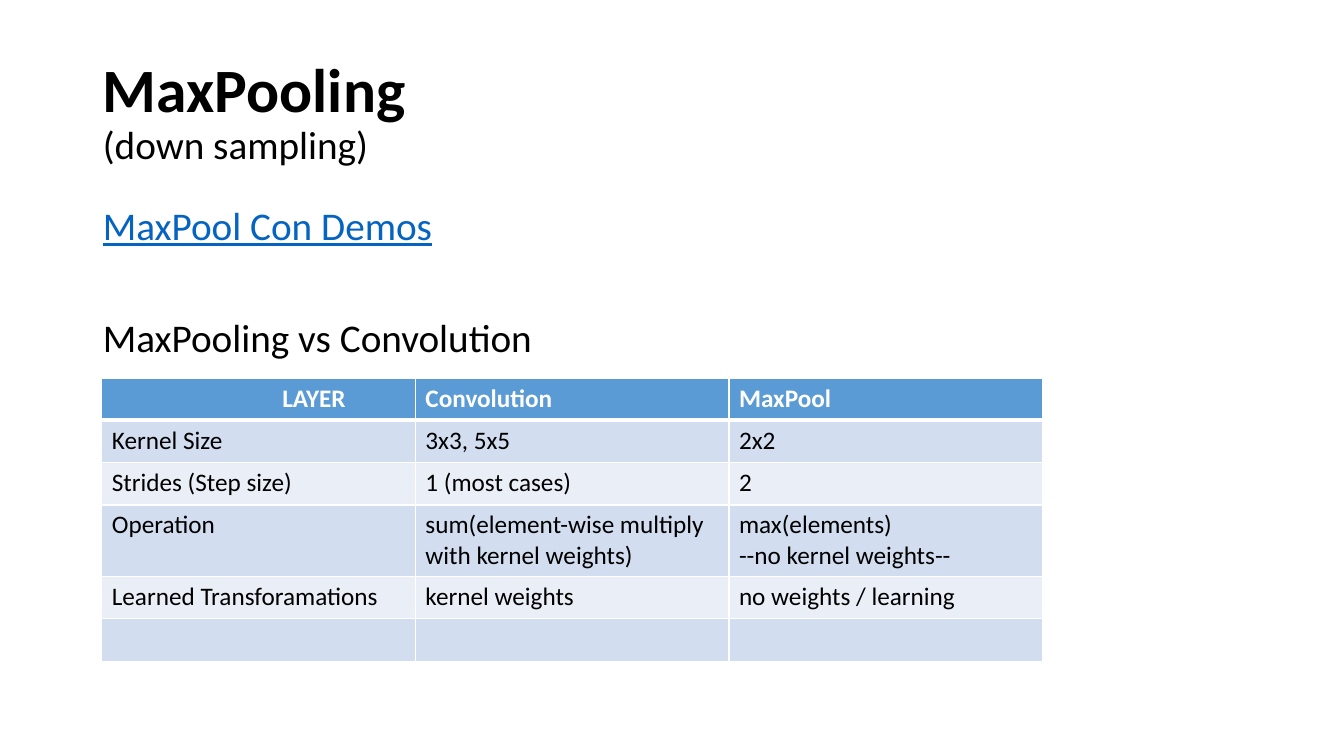
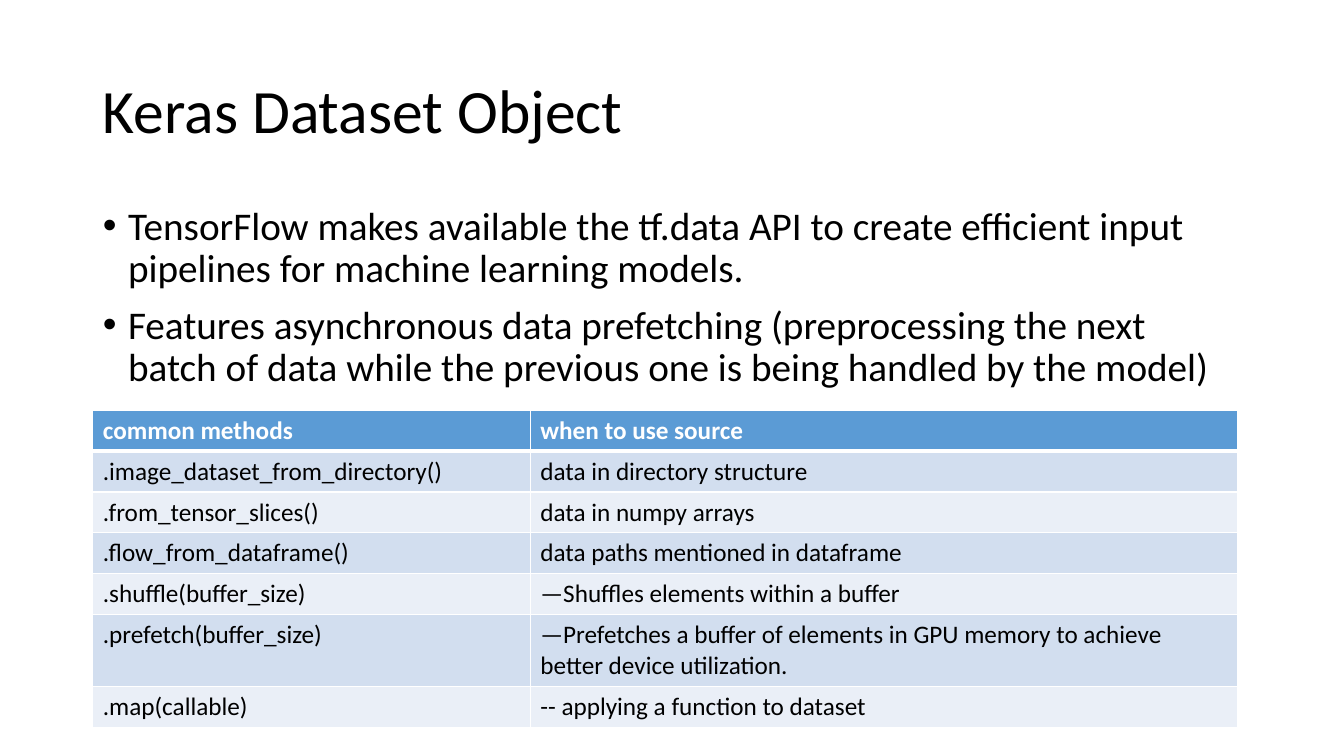
"""Build two slides on max pooling and the Keras dataset object."""
from lxml.etree import SubElement
from pptx import Presentation
from pptx.dml.color import RGBColor
from pptx.enum.text import MSO_ANCHOR, MSO_AUTO_SIZE, PP_ALIGN
from pptx.oxml.ns import qn
from pptx.util import Inches, Pt

FONT = "Calibri"
BLACK, WHITE, LINK = "000000", "FFFFFF", "0563C1"
HEADER, BANDS = "5B9BD5", ("EAEFF7", "D2DEEF")
LEFT, WIDTH = Inches(0.92), Inches(11.5)
TITLE_TOP, TITLE_HEIGHT = Inches(0.4), Inches(1.45)
BODY_TOP, BODY_HEIGHT = Inches(2), Inches(4.76)


def write(p, text, size=28, color=BLACK, bold=False, underline=False):
    r = p.add_run()
    r.text = text
    r.font.name, r.font.size = FONT, Pt(size)
    r.font.bold, r.font.underline = bold, underline
    r.font.color.rgb = RGBColor.from_string(color)


def set_border(cell, side, width):
    ln = SubElement(cell._tc.get_or_add_tcPr(), qn(f"a:ln{side}"), w=str(Pt(width)))
    fill = SubElement(ln, qn("a:solidFill"))
    SubElement(fill, qn("a:srgbClr"), val=WHITE)


slides = [
    {
        "title": [("MaxPooling", {"size": 44, "bold": True}), ("(down sampling)", {})],
        "body": [
            ("MaxPool Con Demos", 0, {"color": LINK, "underline": True}),
            ("MaxPooling vs Convolution", 50, {}),
        ],
        "indent": 0,
        "at": (1.01, 3.75),
        "cols": [3.11] * 3,
        "rows": [0.42, 0.42, 0.42, 0.7, 0.42, 0.42],
        "first_margin": 1.79,
        "cells": [
            ("LAYER", "Convolution", "MaxPool"),
            ("Kernel Size", "3x3, 5x5", "2x2"),
            ("Strides (Step size)", "1 (most cases)", "2"),
            ("Operation", "sum(element-wise multiply with kernel weights)",
             "max(elements)\n--no kernel weights--"),
            ("Learned Transforamations", "kernel weights", "no weights / learning"),
            ("", "", ""),
        ],
    },
    {
        "title": [("Keras Dataset Object", {"size": 44})],
        "body": [
            ("TensorFlow makes available the tf.data API to create efficient input "
             "pipelines for machine learning models.", 0, {}),
            ("Features asynchronous data prefetching (preprocessing the next batch of data "
             "while the previous one is being handled by the model)", 10, {}),
        ],
        "indent": 0.25,
        "at": (0.92, 4.07),
        "cols": [4.34, 7.01],
        "rows": [0.4, 0.4, 0.4, 0.4, 0.4, 0.7, 0.4],
        "first_margin": 0.1,
        "cells": [
            ("common methods", "when to use source"),
            (".image_dataset_from_directory()", "data in directory structure"),
            (".from_tensor_slices()", "data in numpy arrays"),
            (".flow_from_dataframe()", "data paths mentioned in dataframe"),
            (".shuffle(buffer_size)", "—Shuffles elements within a buffer"),
            (".prefetch(buffer_size)", "—Prefetches a buffer of elements in GPU memory "
             "to achieve better device utilization."),
            (".map(callable)", "-- applying a function to dataset"),
        ],
    },
]

prs = Presentation()
prs.slide_width, prs.slide_height = Inches(13.33), Inches(7.5)

for content in slides:
    s = prs.slides.add_slide(prs.slide_layouts[1])
    title, body = s.placeholders
    for sp, top, height, anchor in (
        (title, TITLE_TOP, TITLE_HEIGHT, MSO_ANCHOR.MIDDLE),
        (body, BODY_TOP, BODY_HEIGHT, MSO_ANCHOR.TOP),
    ):
        sp.left, sp.top, sp.width, sp.height = LEFT, top, WIDTH, height
        tf = sp.text_frame
        tf.word_wrap, tf.auto_size = True, MSO_AUTO_SIZE.NONE
        tf.vertical_anchor = anchor

    p = title.text_frame.paragraphs[0]
    p.alignment, p.line_spacing = PP_ALIGN.LEFT, 0.9
    for i, (text, style) in enumerate(content["title"]):
        if i:
            p.add_line_break()
        write(p, text, **style)

    tf = body.text_frame
    for i, (text, space, style) in enumerate(content["body"]):
        p = tf.add_paragraph() if i else tf.paragraphs[0]
        pPr = p._p.get_or_add_pPr()
        indent = Inches(content["indent"])
        pPr.set("marL", str(indent))
        pPr.set("indent", str(-indent))
        if indent:
            SubElement(pPr, qn("a:buChar"), char="•")
        else:
            SubElement(pPr, qn("a:buNone"))
        p.line_spacing, p.space_before = 0.9, Pt(space)
        write(p, text, **style)

    cols, rows = content["cols"], content["rows"]
    x, y = content["at"]
    table = s.shapes.add_table(len(rows), len(cols), Inches(x), Inches(y),
                               Inches(sum(cols)), Inches(sum(rows))).table
    for col, width in zip(table.columns, cols):
        col.width = Inches(width)
    for row, height in zip(table.rows, rows):
        row.height = Inches(height)
    for i, texts in enumerate(content["cells"]):
        for j, text in enumerate(texts):
            cell = table.cell(i, j)
            for side in "LRTB":
                thick = (i, side) in ((0, "B"), (1, "T"))
                set_border(cell, side, 3 if thick else 1)
            cell.fill.solid()
            cell.fill.fore_color.rgb = RGBColor.from_string(BANDS[i % 2] if i else HEADER)
            tf = cell.text_frame
            for n, line in enumerate(text.split("\n") if text else []):
                p = tf.add_paragraph() if n else tf.paragraphs[0]
                write(p, line, size=18, color=BLACK if i else WHITE, bold=i == 0)
    table.cell(0, 0).margin_left = Inches(content["first_margin"])

prs.save("out.pptx")
